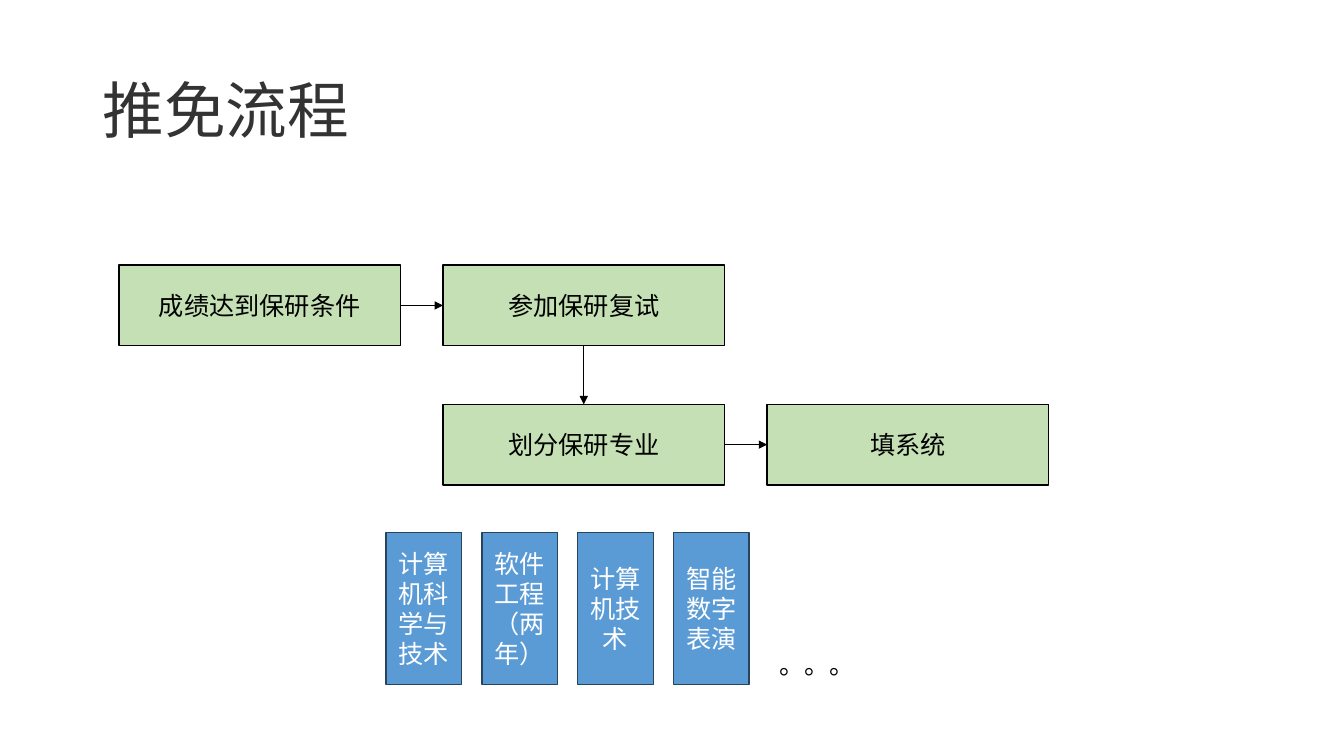
from dataclasses import dataclass

from lxml import etree
from pptx import Presentation
from pptx.dml.color import RGBColor
from pptx.enum import shapes, text
from pptx.oxml import ns
from pptx.shapes.autoshape import Shape
from pptx.slide import Slide
from pptx.text.text import TextFrame
from pptx.util import Pt


@dataclass(frozen=True)
class Theme:
    title_font: str = "Noto Sans CJK SC"
    body_font: str = "Calibri"
    title_size: float = 44
    body_size: float = 18
    title: str = "333333"
    black: str = "000000"
    white: str = "FFFFFF"
    step_fill: str = "C5E0B4"
    major_fill: str = "5B9BD5"
    major_line: str = "28445D"


@dataclass(frozen=True)
class BoxStyle:
    width: float
    height: float
    fill: str
    line: str
    ink: str


@dataclass(frozen=True)
class Step:
    label: str
    column: int
    row: int


THEME = Theme()
STEP_STYLE = BoxStyle(201, 57.6, THEME.step_fill, THEME.black, THEME.black)
MAJOR_STYLE = BoxStyle(54, 108.7, THEME.major_fill, THEME.major_line, THEME.white)

STEP_LEFT, STEP_TOP = 85, 189.4
STEP_PITCH_X, STEP_PITCH_Y = 231.5, 99.4
MAJOR_LEFT, MAJOR_TOP, MAJOR_PITCH = 275.8, 380.2, 68.4

STEPS = [
    Step("成绩达到保研条件", 0, 0),
    Step("参加保研复试", 1, 0),
    Step("划分保研专业", 1, 1),
    Step("填系统", 2, 1),
]
MAJORS = ["计算机科学与技术", "软件工程（两年）", "计算机技术", "智能数字表演"]


def write(frame: TextFrame, words: str, font: str, size: float, color: str,
          align: text.PP_ALIGN = text.PP_ALIGN.LEFT) -> None:
    paragraph = frame.paragraphs[0]
    paragraph.alignment = align
    run = paragraph.add_run()
    run.text = words
    run.font.name = font
    run.font.size = Pt(size)
    run.font.color.rgb = RGBColor.from_string(color)
    # Chinese characters use the East Asian typeface
    east_asian = etree.SubElement(run.font._element, ns.qn("a:ea"))
    east_asian.set("typeface", font)


def add_box(slide: Slide, label: str, left: float, top: float, style: BoxStyle) -> Shape:
    box = slide.shapes.add_shape(shapes.MSO_SHAPE.RECTANGLE, Pt(left), Pt(top),
                                 Pt(style.width), Pt(style.height))
    box.shadow.inherit = False
    box.fill.solid()
    box.fill.fore_color.rgb = RGBColor.from_string(style.fill)
    box.line.color.rgb = RGBColor.from_string(style.line)
    box.line.width = Pt(1)
    box.text_frame.word_wrap = True
    box.text_frame.vertical_anchor = text.MSO_ANCHOR.MIDDLE
    write(box.text_frame, label, THEME.body_font, THEME.body_size, style.ink,
          text.PP_ALIGN.CENTER)
    return box


def add_arrow(slide: Slide, start: Shape, end: Shape, start_side: int, end_side: int) -> None:
    arrow = slide.shapes.add_connector(shapes.MSO_CONNECTOR.STRAIGHT, 0, 0, 0, 0)
    arrow.begin_connect(start, start_side)
    arrow.end_connect(end, end_side)
    arrow.line.color.rgb = RGBColor.from_string(THEME.black)
    arrow.line.width = Pt(0.5)
    head = etree.SubElement(arrow.line._get_or_add_ln(), ns.qn("a:tailEnd"))
    head.set("type", "triangle")
    etree.SubElement(arrow._element.spPr, ns.qn("a:effectLst"))


def main() -> None:
    presentation = Presentation()
    presentation.slide_width, presentation.slide_height = Pt(960), Pt(540)
    slide = presentation.slides.add_slide(presentation.slide_layouts.get_by_name("Title Only"))

    # Title
    title = slide.shapes.title
    title.left, title.top, title.width, title.height = Pt(66), Pt(28.8), Pt(828), Pt(104.4)
    title.text_frame.vertical_anchor = text.MSO_ANCHOR.MIDDLE
    write(title.text_frame, "推免流程", THEME.title_font, THEME.title_size, THEME.title)
    title.text_frame.paragraphs[0].line_spacing = 0.9

    # Process steps, joined in order
    boxes = [add_box(slide, step.label, STEP_LEFT + step.column * STEP_PITCH_X,
                     STEP_TOP + step.row * STEP_PITCH_Y, STEP_STYLE) for step in STEPS]
    for index in range(len(STEPS) - 1):
        same_row = STEPS[index].row == STEPS[index + 1].row
        start_side, end_side = (3, 1) if same_row else (2, 0)
        add_arrow(slide, boxes[index], boxes[index + 1], start_side, end_side)

    # Majors
    for index, major in enumerate(MAJORS):
        add_box(slide, major, MAJOR_LEFT + index * MAJOR_PITCH, MAJOR_TOP, MAJOR_STYLE)

    # Further majors
    more = slide.shapes.add_textbox(Pt(549.4), Pt(460), Pt(109.4), Pt(29))
    more.text_frame.word_wrap = True
    more.text_frame.auto_size = text.MSO_AUTO_SIZE.SHAPE_TO_FIT_TEXT
    write(more.text_frame, "。。。", THEME.body_font, THEME.body_size, THEME.black)

    presentation.save("out.pptx")


if __name__ == "__main__":
    main()
